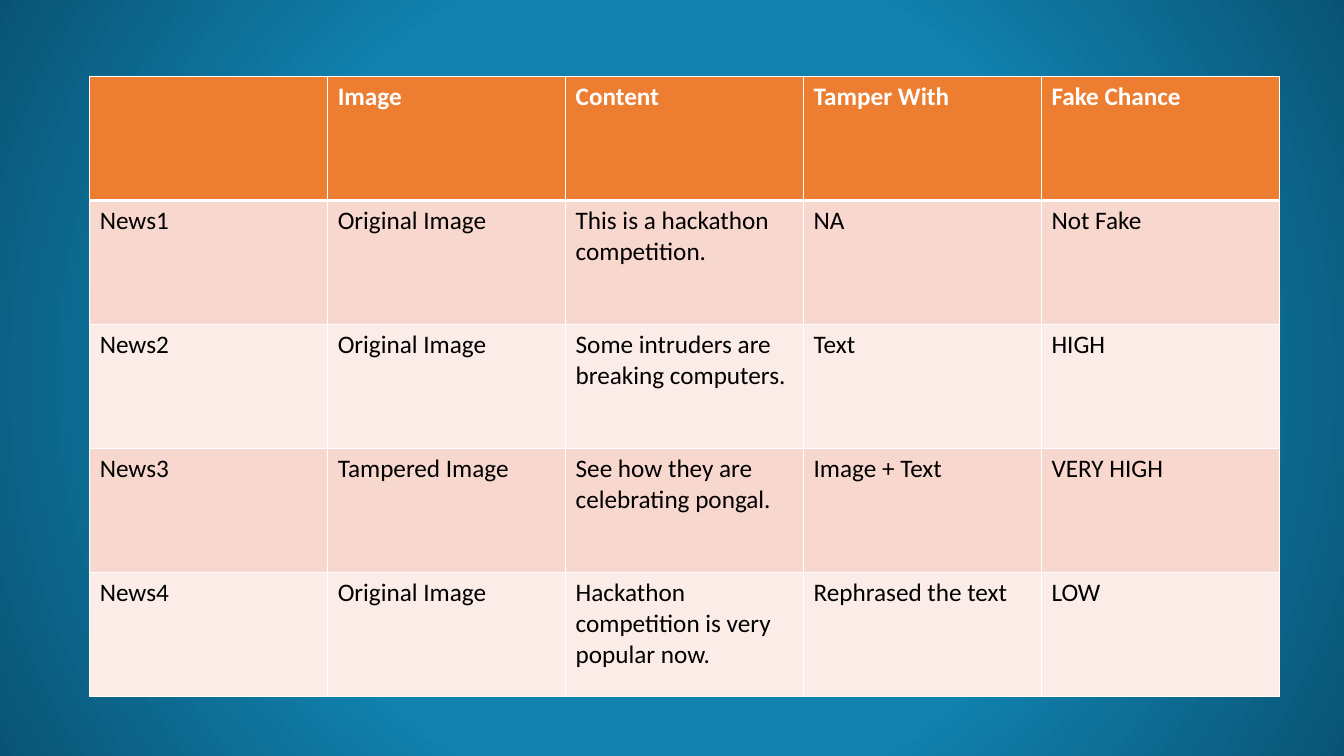
from lxml import etree
from pptx import Presentation
from pptx.dml.color import RGBColor
from pptx.oxml import parse_xml
from pptx.oxml.ns import nsdecls, qn
from pptx.util import Inches, Pt

BLANK_LAYOUT = 6
WHITE = "FFFFFF"
HEADER_FORMAT = {"size": Pt(18), "name": "Calibri", "bold": True}
BODY_FORMAT = {"size": Pt(18), "name": "Calibri", "bold": False}
BACKGROUND_STOPS = [(0, "1181AE"), (55, "1181AE"), (100, "095474")]
NEWS_ROWS = [
    ["", "Image", "Content", "Tamper With", "Fake Chance"],
    ["News1", "Original Image", "This is a hackathon competition.", "NA", "Not Fake"],
    ["News2", "Original Image", "Some intruders are breaking computers.", "Text", "HIGH"],
    ["News3", "Tampered Image", "See how they are celebrating pongal.", "Image + Text", "VERY HIGH"],
    ["News4", "Original Image", "Hackathon competition is very popular now.", "Rephrased the text", "LOW"],
]


def color(value):
    return RGBColor.from_string(value)


class SlideBuilder:
    header_fill = "ED7D31"
    band_fills = ["F8D7CE", "FCECE8"]

    def __init__(self, slide):
        self.slide = slide

    def background(self, stops):
        self.slide.background.fill.gradient()
        gradient = self.slide.element.find(".//" + qn("a:gradFill"))
        stop_xml = "".join(
            f'<a:gs pos="{position * 1000}"><a:srgbClr val="{value}"/></a:gs>'
            for position, value in stops
        )
        gradient.getparent().replace(gradient, parse_xml(
            f'<a:gradFill {nsdecls("a")} rotWithShape="1"><a:gsLst>{stop_xml}</a:gsLst>'
            '<a:path path="circle"><a:fillToRect l="50000" t="50000" r="50000" b="50000"/>'
            "</a:path></a:gradFill>"
        ))

    def borders(self, cell, widths):
        properties = cell._tc.get_or_add_tcPr()
        for side in "LRTB":
            line = etree.SubElement(properties, qn(f"a:ln{side}"), w=str(Pt(widths.get(side, 1))))
            fill = etree.SubElement(line, qn("a:solidFill"))
            etree.SubElement(fill, qn("a:srgbClr"), val=WHITE)

    def cell(self, cell, text, fill, font_color, font_format, widths):
        self.borders(cell, widths)
        cell.fill.solid()
        cell.fill.fore_color.rgb = color(fill)
        cell.text = text
        font = cell.text_frame.paragraphs[0].font
        for run in cell.text_frame.paragraphs[0].runs:
            font = run.font
        for name, value in font_format.items():
            setattr(font, name, value)
        font.color.rgb = color(font_color)

    def table(self, rows, left, top, column_width, row_height):
        columns = len(rows[0])
        table = self.slide.shapes.add_table(
            len(rows), columns, Inches(left), Inches(top),
            Inches(column_width * columns), Inches(row_height * len(rows)),
        ).table
        for column in table.columns:
            column.width = Inches(column_width)
        for row in table.rows:
            row.height = Inches(row_height)
        for row_index, texts in enumerate(rows):
            if row_index == 0:
                style = self.header_fill, WHITE, HEADER_FORMAT, {"B": 3}
            else:
                widths = {"T": 3} if row_index == 1 else {}
                style = self.band_fills[(row_index - 1) % 2], "000000", BODY_FORMAT, widths
            for column_index, text in enumerate(texts):
                self.cell(table.cell(row_index, column_index), text, *style)


def main():
    presentation = Presentation()
    presentation.slide_width = Inches(13.33)
    presentation.slide_height = Inches(7.5)
    slide = presentation.slides.add_slide(presentation.slide_layouts[BLANK_LAYOUT])
    builder = SlideBuilder(slide)
    builder.background(BACKGROUND_STOPS)
    builder.table(NEWS_ROWS, 0.89, 0.76, 2.36, 1.23)
    presentation.save("out.pptx")


if __name__ == "__main__":
    main()
